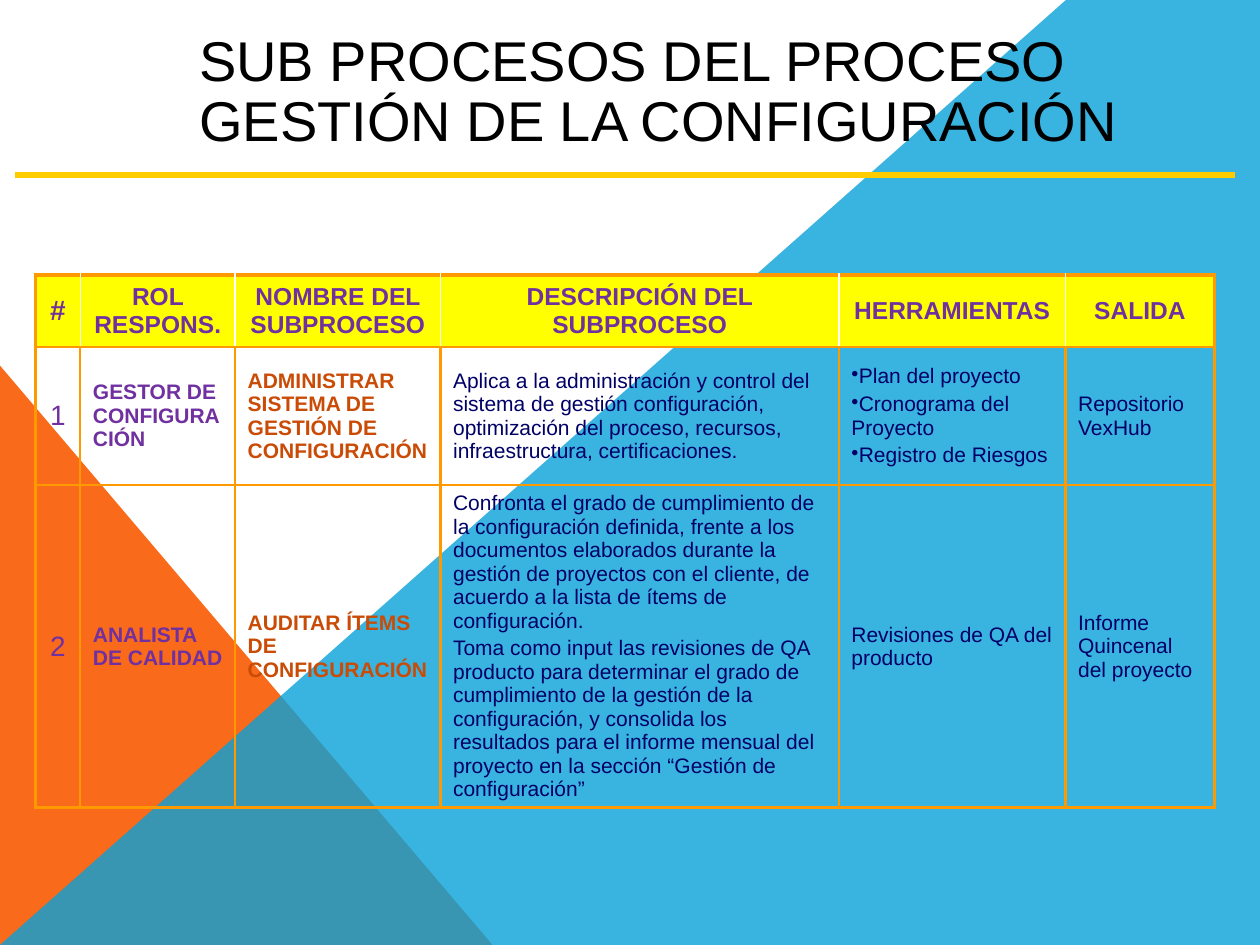
from lxml.etree import SubElement
from pptx import Presentation
from pptx.dml.color import RGBColor
from pptx.enum.shapes import MSO_CONNECTOR, MSO_SHAPE
from pptx.enum.text import MSO_ANCHOR, PP_ALIGN
from pptx.oxml.ns import qn
from pptx.util import Cm, Pt

BLACK = RGBColor(0x00, 0x00, 0x00)
WHITE = RGBColor(0xFF, 0xFF, 0xFF)
ORANGE = RGBColor(0xF9, 0x6A, 0x1B)
SKY = RGBColor(0x08, 0xA1, 0xD9)
AMBER = RGBColor(0xFF, 0x99, 0x00)
GOLD = RGBColor(0xFF, 0xCC, 0x00)
YELLOW = RGBColor(0xFF, 0xFF, 0x00)
PURPLE = RGBColor(0x70, 0x30, 0xA0)
RUST = RGBColor(0xCA, 0x4B, 0x05)
NAVY = RGBColor(0x00, 0x00, 0x66)

COL_WIDTHS = [0.91, 3.12, 4.14, 8.03, 4.57, 3]
ROW_HEIGHTS = [1.45, 2.79, 2.49]
COL_STYLES = [(16, PURPLE, False), (12, PURPLE, True), (12, RUST, True)] + [(12, NAVY, False)] * 3
TOOLS_CELL = (1, 4)
ROWS = [
    ["#", "ROL RESPONS.", "NOMBRE DEL SUBPROCESO", "DESCRIPCIÓN DEL SUBPROCESO",
     "HERRAMIENTAS", "SALIDA"],
    ["1", "GESTOR DE CONFIGURACIÓN", "ADMINISTRAR SISTEMA DE GESTIÓN DE CONFIGURACIÓN",
     "Aplica a la administración y control del sistema de gestión configuración, "
     "optimización del proceso, recursos, infraestructura, certificaciones.",
     "Plan del proyecto\nCronograma del Proyecto\nRegistro de Riesgos",
     "Repositorio VexHub"],
    ["2", "ANALISTA DE CALIDAD", "AUDITAR ÍTEMS DE CONFIGURACIÓN",
     "Confronta el grado de cumplimiento de la configuración definida, frente a los "
     "documentos elaborados durante la gestión de proyectos con el cliente, de acuerdo "
     "a la lista de ítems de configuración.\n"
     "Toma como input las revisiones de QA producto para determinar el grado de "
     "cumplimiento de la gestión de la configuración, y consolida los resultados para "
     "el informe mensual del proyecto en la sección “Gestión de configuración”",
     "Revisiones de QA del producto", "Informe Quincenal del proyecto"],
]


def fill_plain(sp, color):
    sp.shadow.inherit = False
    sp.fill.solid()
    sp.fill.fore_color.rgb = color
    sp.line.fill.background()


def add_background(s):
    sp = s.shapes.add_shape(MSO_SHAPE.RIGHT_TRIANGLE, 0, Cm(7.37), Cm(9.93), Cm(11.68))
    fill_plain(sp, ORANGE)
    builder = s.shapes.build_freeform(0, Cm(19.05))
    corners = [(21.49, 0), (25.4, 0), (25.4, 19.05)]
    builder.add_line_segments([(Cm(x), Cm(y)) for x, y in corners], close=True)
    sp = builder.convert_to_shape()
    fill_plain(sp, SKY)
    color = sp.element.spPr.find(qn("a:solidFill"))[0]
    SubElement(color, qn("a:alpha"), val="80000")


def format_runs(p, size, color, bold=False):
    for r in p.runs:
        r.font.name = "Arial"
        r.font.size = Pt(size)
        r.font.bold = bold
        r.font.color.rgb = color


def add_title(s):
    sp = s.shapes.title
    sp.element.getparent().append(sp.element)
    sp.left, sp.top, sp.width, sp.height = Cm(3.76), Cm(0.53), Cm(21.13), Cm(2.72)
    tf = sp.text_frame
    tf.text = "SUB PROCESOS DEL PROCESO\nGESTIÓN DE LA CONFIGURACIÓN"
    tf.word_wrap = True
    tf.vertical_anchor = MSO_ANCHOR.TOP
    for p in tf.paragraphs:
        p.alignment = PP_ALIGN.LEFT
        p.line_spacing = 0.9
        p.space_before = Pt(0)
        format_runs(p, 32, BLACK)


def add_rule(s):
    line = s.shapes.add_connector(MSO_CONNECTOR.STRAIGHT, Cm(0.3), Cm(3.53), Cm(24.89), Cm(3.53))
    line.line.color.rgb = GOLD
    line.line.width = Pt(3)
    SubElement(line.element.spPr, qn("a:effectLst"))


def set_borders(cell, row, col):
    last_row, last_col = len(ROWS) - 1, len(COL_WIDTHS) - 1
    outer = {"L": col == 0, "R": col == last_col, "T": row == 0, "B": row == last_row}
    tcPr = cell._tc.get_or_add_tcPr()
    for side, is_outer in outer.items():
        color, width = AMBER, 2.25 if is_outer else 1.5
        if row == 0 and side in "LR" and not is_outer:
            color, width = WHITE, 1
        ln = SubElement(tcPr, qn(f"a:ln{side}"), w=str(Pt(width)))
        SubElement(SubElement(ln, qn("a:solidFill")), qn("a:srgbClr"), val=str(color))


def format_cell(cell, row, col):
    set_borders(cell, row, col)
    cell.vertical_anchor = MSO_ANCHOR.MIDDLE
    size, color, bold = COL_STYLES[col]
    if row == 0:
        cell.fill.solid()
        cell.fill.fore_color.rgb = YELLOW
        size, color, bold = 16 if col == 0 else 14, PURPLE, True
    else:
        cell.fill.background()
    for p in cell.text_frame.paragraphs:
        p.alignment = PP_ALIGN.CENTER if row == 0 or col == 0 else PP_ALIGN.LEFT
        p.space_before = Pt(round(size * 0.2, 1))
        format_runs(p, size, color, bold)
        if (row, col) == TOOLS_CELL:
            SubElement(p._p.get_or_add_pPr(), qn("a:buChar"), char="•")


def add_process_table(s):
    frame = s.shapes.add_table(len(ROWS), len(COL_WIDTHS), Cm(0.71), Cm(5.54), Cm(23.77), Cm(11.18))
    table = frame.table
    table.first_row = table.horz_banding = False
    for column, width in zip(table.columns, COL_WIDTHS):
        column.width = Cm(width)
    for row, height in zip(table.rows, ROW_HEIGHTS):
        row.height = Cm(height)
    for i, texts in enumerate(ROWS):
        for j, text in enumerate(texts):
            cell = table.cell(i, j)
            cell.text_frame.text = text
            format_cell(cell, i, j)


def main():
    prs = Presentation()
    prs.slide_width, prs.slide_height = Cm(25.4), Cm(19.05)
    s = prs.slides.add_slide(prs.slide_layouts[5])
    add_background(s)
    add_process_table(s)
    add_title(s)
    add_rule(s)
    prs.save("out.pptx")


if __name__ == "__main__":
    main()
